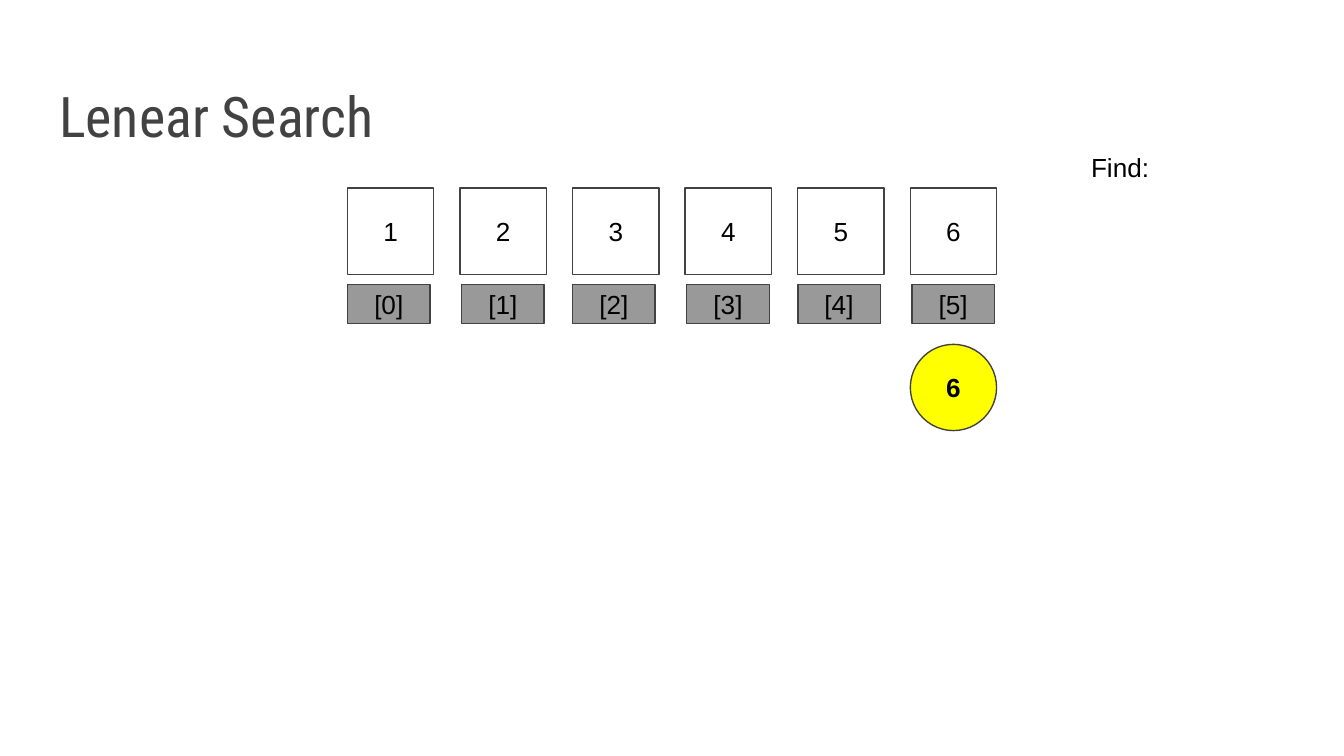
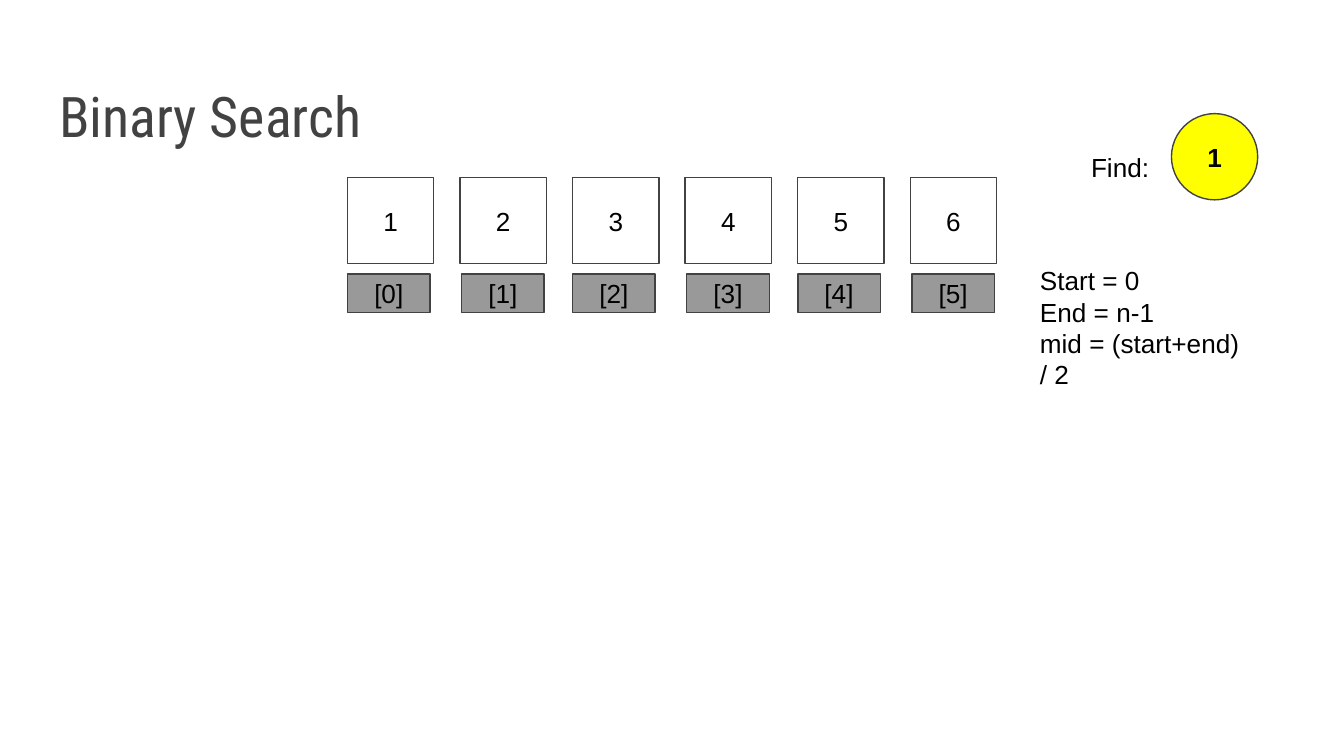
from pptx import Presentation
from pptx.dml.color import RGBColor
from pptx.enum import shapes, text
from pptx.util import Pt

COLORS = {"ink": "000000", "outline": "424242", "index": "999999", "target": "FFFF00", "page": "FFFFFF"}
VALUES = range(1, 7)
CELL = 46.2
STEP = 60.3
ROW_LEFT = 186.2
INDEX_SIZE = (44.2, 20.9)
INSET = 7.2


def rgb(name):
    """Return the named palette colour."""
    return RGBColor.from_string(COLORS[name])


def write(shape, content, font="Arial", size=14, color="ink", bold=False,
          align=text.PP_ALIGN.LEFT, anchor=text.MSO_ANCHOR.TOP):
    """Fill a shape with formatted text, one paragraph per line."""
    frame = shape.text_frame
    frame.word_wrap = True
    frame.auto_size = text.MSO_AUTO_SIZE.NONE
    frame.vertical_anchor = anchor
    frame.margin_left = frame.margin_right = Pt(INSET)
    frame.margin_top = frame.margin_bottom = Pt(INSET)
    frame.text = content
    for para in frame.paragraphs:
        para.alignment = align
        for span in para.runs:
            span.font.name = font
            span.font.size = Pt(size)
            span.font.bold = bold
            span.font.color.rgb = rgb(color)


def add_label(page, box, content):
    """Add a plain text box."""
    write(page.shapes.add_textbox(*map(Pt, box)), content)


def add_node(page, box, content, fill=None, kind=shapes.MSO_SHAPE.RECTANGLE, bold=False):
    """Add an outlined shape with centred text."""
    node = page.shapes.add_shape(kind, *map(Pt, box))
    node.shadow.inherit = False
    if fill:
        node.fill.solid()
        node.fill.fore_color.rgb = rgb(fill)
    else:
        node.fill.background()
    node.line.color.rgb = rgb("outline")
    node.line.width = Pt(0.75)
    write(node, content, bold=bold, align=text.PP_ALIGN.CENTER, anchor=text.MSO_ANCHOR.MIDDLE)


def add_array(page, left, top):
    """Draw the value cells and the index labels below them."""
    for index, value in enumerate(VALUES):
        add_node(page, (left + index * STEP, top, CELL, CELL), str(value))
    for index in range(len(VALUES)):
        nudge = 0.8 * (index % 2)
        add_node(page, (left + index * STEP + nudge, top + 51.6, *INDEX_SIZE), f"[{index}]", fill="index")


def add_target(page, left, top, value):
    """Draw the circle that holds the value searched for."""
    add_node(page, (left, top, CELL, CELL), str(value), fill="target",
             kind=shapes.MSO_SHAPE.OVAL, bold=True)


def add_search_page(deck, title, array_top, target, target_at):
    """Add a titled page with the array, the target and its caption."""
    page = deck.slides.add_slide(deck.slide_layouts[5])
    page.background.fill.solid()
    page.background.fill.fore_color.rgb = rgb("page")
    heading = page.shapes.title
    heading.left, heading.top, heading.width, heading.height = map(Pt, (24.5, 29.5, 671, 57.6))
    write(heading, title, font="Roboto Condensed", size=30, color="outline", anchor=text.MSO_ANCHOR.BOTTOM)
    add_array(page, ROW_LEFT, array_top)
    add_target(page, *target_at, target)
    add_label(page, (577.4, 73.8, 46.4, 20.9), "Find:")
    return page


def main():
    """Build the two search pages."""
    deck = Presentation()
    deck.slide_width, deck.slide_height = Pt(720), Pt(405)
    add_search_page(deck, "Lenear Search", 100.8, 6, (ROW_LEFT + 5 * STEP, 184.5))
    binary = add_search_page(deck, "Binary Search", 95.1, 1, (627.6, 60.9))
    add_label(binary, (550, 134.6, 121.7, 85.7), "Start = 0\nEnd = n-1\nmid = (start+end) / 2")
    deck.save("out.pptx")


if __name__ == "__main__":
    main()
